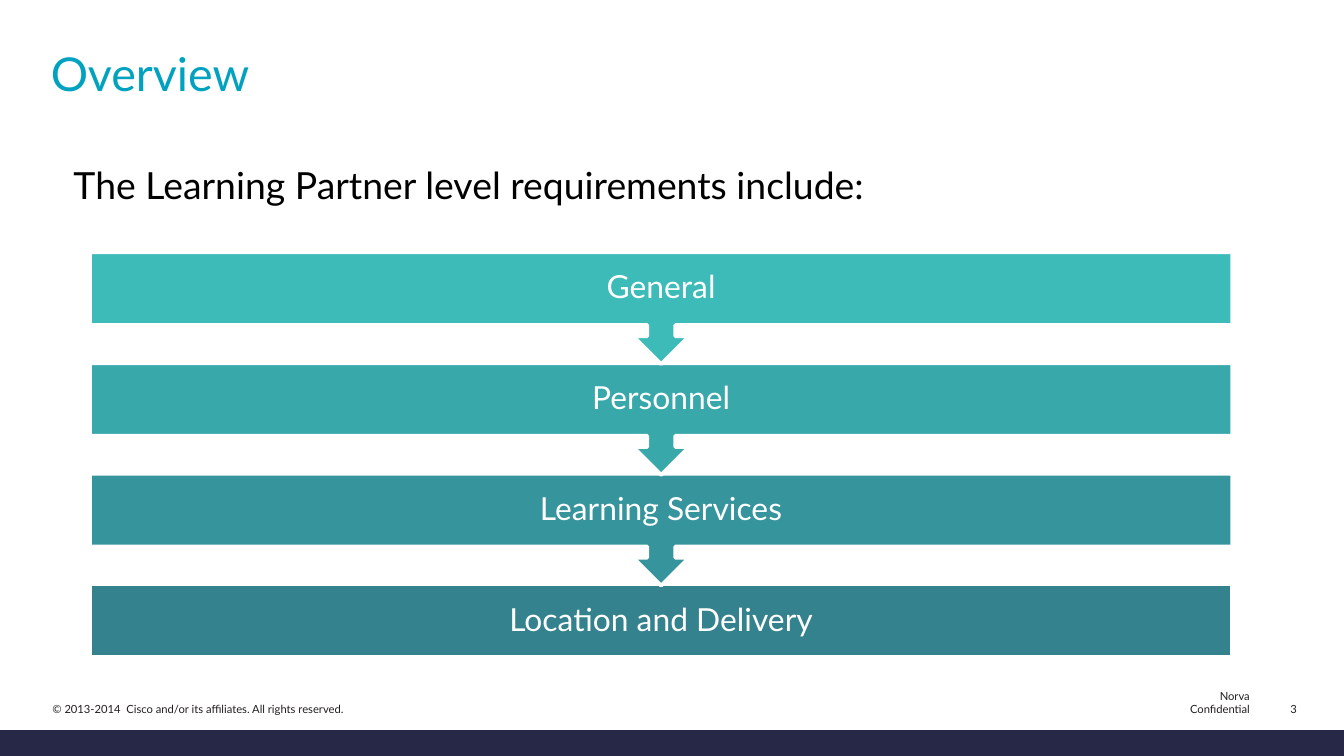
from dataclasses import dataclass

from pptx import Presentation
from pptx.dml.color import RGBColor
from pptx.enum.shapes import MSO_CONNECTOR, MSO_SHAPE
from pptx.enum.text import MSO_ANCHOR, PP_ALIGN
from pptx.oxml.ns import qn
from pptx.util import Cm, Pt
from lxml import etree

RECT, CALLOUT = MSO_SHAPE.RECTANGLE, MSO_SHAPE.UP_ARROW_CALLOUT
STRAIGHT = MSO_CONNECTOR.STRAIGHT
TOP, MIDDLE, BOTTOM = MSO_ANCHOR.TOP, MSO_ANCHOR.MIDDLE, MSO_ANCHOR.BOTTOM
LEFT, CENTER, RIGHT = PP_ALIGN.LEFT, PP_ALIGN.CENTER, PP_ALIGN.RIGHT


@dataclass(frozen=True)
class Theme:
    font: str = "Lato"
    title: str = "00A2BF"
    body: str = "000000"
    footer: str = "231F20"
    white: str = "FFFFFF"
    band: str = "272848"
    steps: tuple = ("3CBBB9", "39A8AB", "36949C", "33828D")
    title_size: int = 25
    body_size: int = 20
    step_size: int = 17
    footer_size: int = 6
    outline: int = 2
    band_width: int = 14


THEME = Theme()


def rgb(value):
    return RGBColor.from_string(value)


def set_text(sp, text, size, color, align=LEFT, anchor=TOP, spacing=1.0,
             inset=(0.25, 0.13), wrap=True):
    tf = sp.text_frame
    x, y = map(Cm, inset)
    frame = {"word_wrap": wrap, "vertical_anchor": anchor,
             "margin_left": x, "margin_right": x,
             "margin_top": y, "margin_bottom": y}
    for name, value in frame.items():
        setattr(tf, name, value)
    p = tf.paragraphs[0]
    p.alignment, p.line_spacing = align, spacing
    r = p.add_run()
    r.text = text
    for name, value in {"name": THEME.font, "size": Pt(size), "bold": False}.items():
        setattr(r.font, name, value)
    r.font.color.rgb = rgb(color)


def add_text(s, box, *args, **fmt):
    set_text(s.shapes.add_textbox(*map(Cm, box)), *args, **fmt)


def add_heading(s, box):
    sp = s.shapes.title
    for name, value in zip(("left", "top", "width", "height"), box):
        setattr(sp, name, Cm(value))
    set_text(sp, "Overview", THEME.title_size, THEME.title, spacing=0.9)


def add_intro(s, box):
    add_text(s, box, "The Learning Partner level requirements include:",
             THEME.body_size, THEME.body, spacing=0.8)


def add_steps(s, box, labels):
    x, y, w, h = box
    bar_h = 1.37
    pitch = (h - bar_h) / (len(labels) - 1)
    last = len(labels) - 1
    for i in range(last, -1, -1):
        top = y + i * pitch
        kind, height = (RECT, bar_h) if i == last else (CALLOUT, pitch + 0.02)
        sp = s.shapes.add_shape(kind, Cm(x), Cm(top), Cm(w), Cm(height))
        sp.shadow.inherit = False
        sp.rotation = 0 if i == last else 180
        sp.fill.solid()
        sp.fill.fore_color.rgb = rgb(THEME.steps[i])
        sp.line.color.rgb = rgb(THEME.white)
        sp.line.width = Pt(THEME.outline)
        add_text(s, (x, top, w, bar_h), labels[i], THEME.step_size, THEME.white,
                 align=CENTER, anchor=MIDDLE, spacing=0.9, inset=(0.33, 0.33))


def add_footer(s, box):
    x, y, w, h = box
    items = (
        (0.81, 9.5, "© 2013-2014  Cisco and/or its affiliates. All rights reserved.", LEFT),
        (21.69, 2.11, "Norva Confidential", RIGHT),
        (24.08, 0.61, "3", RIGHT),
    )
    for left, width, text, align in items:
        add_text(s, (x + left, y, width, 0.43), text, THEME.footer_size,
                 THEME.footer, align=align, anchor=BOTTOM,
                 inset=(0.18, 0.08), wrap=align == LEFT)
    band_y = y + h - 0.25
    line = s.shapes.add_connector(STRAIGHT, Cm(x), Cm(band_y), Cm(x + w), Cm(band_y))
    line.line.color.rgb = rgb(THEME.band)
    line.line.width = Pt(THEME.band_width)
    etree.SubElement(line._element.spPr, qn("a:effectLst"))


def main():
    prs = Presentation()
    prs.slide_width, prs.slide_height = Cm(25.4), Cm(14.29)
    s = prs.slides.add_slide(prs.slide_layouts[5])
    add_footer(s, (0, 13.18, 25.4, 1.11))
    add_heading(s, (0.71, 0.84, 24.05, 2.03))
    add_intro(s, (1.14, 3.1, 23.37, 0.94))
    add_steps(s, (1.7, 4.77, 21.59, 7.65),
              ("General", "Personnel", "Learning Services", "Location and Delivery"))
    prs.save("out.pptx")


if __name__ == "__main__":
    main()
